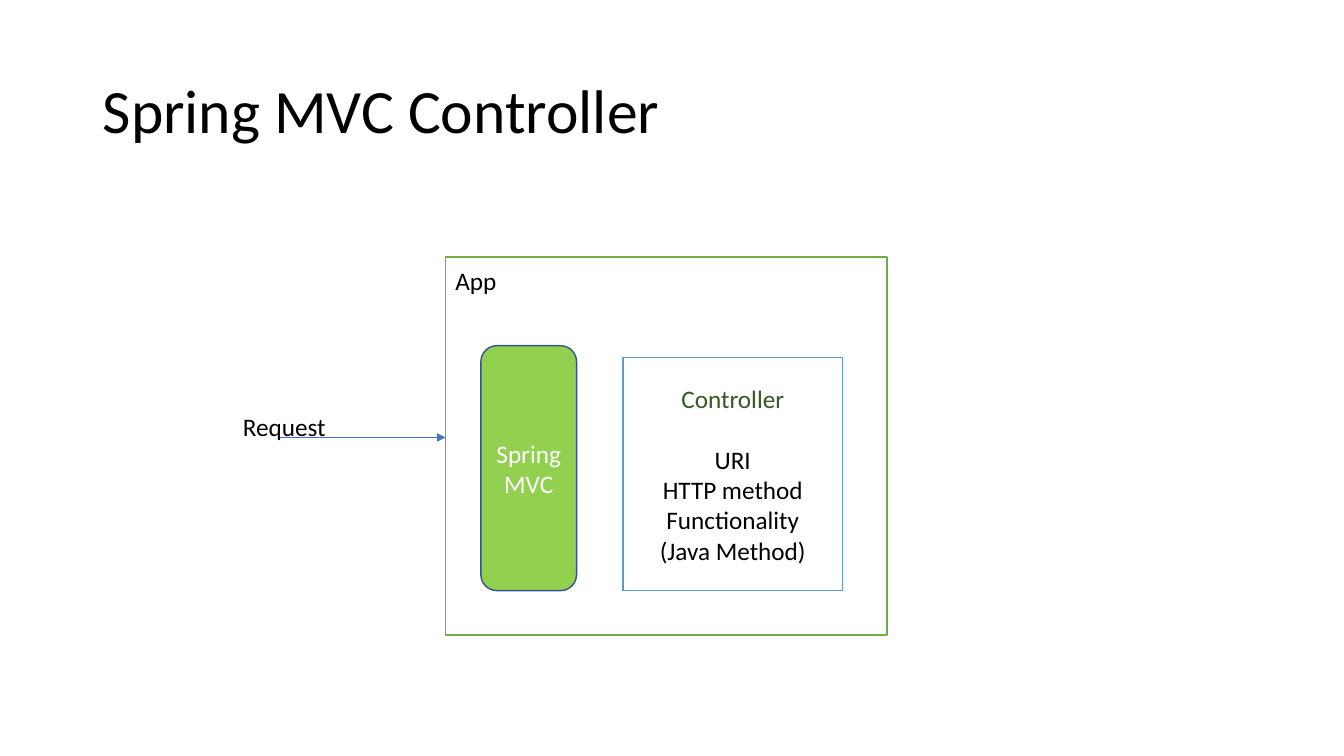
from pptx import Presentation
from pptx.dml.color import RGBColor
from pptx.enum.shapes import MSO_CONNECTOR as Connector, MSO_SHAPE as Shape
from pptx.enum.text import MSO_ANCHOR as Anchor, MSO_AUTO_SIZE as AutoSize, PP_ALIGN as Align
from pptx.oxml.ns import qn
from pptx.util import Inches, Pt
from lxml.etree import SubElement

BLACK = RGBColor(0x00, 0x00, 0x00)
WHITE = RGBColor(0xFF, 0xFF, 0xFF)
APP_GREEN = RGBColor(0x70, 0xAD, 0x47)
MVC_GREEN = RGBColor(0x92, 0xD0, 0x50)
MVC_EDGE = RGBColor(0x32, 0x54, 0x91)
CONTROLLER_BLUE = RGBColor(0x5B, 0x9B, 0xD5)
CONTROLLER_GREEN = RGBColor(0x38, 0x57, 0x23)
ARROW_BLUE = RGBColor(0x44, 0x72, 0xC4)


class Diagram:
    font = "Calibri"
    title_size = Pt(44)
    text_size = Pt(18)

    def __init__(self, deck):
        self.column = deck.slide_width / 100
        self.row = deck.slide_height / 100
        self.page = deck.slides.add_slide(deck.slide_layouts[5])

    def place(self, left, top, width, height):
        return (round(left * self.column), round(top * self.row),
                round(width * self.column), round(height * self.row))

    def fill_text(self, frame, text, color, align=Align.LEFT, size=text_size):
        frame.text = text
        frame.word_wrap = True
        for para in frame.paragraphs:
            para.alignment = align
            for span in para.runs:
                span.font.name = self.font
                span.font.size = size
                span.font.color.rgb = color

    def title(self, text, *area):
        box = self.page.shapes.title
        box.left, box.top, box.width, box.height = self.place(*area)
        frame = box.text_frame
        self.fill_text(frame, text, BLACK, size=self.title_size)
        frame.auto_size = AutoSize.NONE
        frame.vertical_anchor = Anchor.MIDDLE
        frame.paragraphs[0].line_spacing = 0.9

    def block(self, kind, area, text, fill, edge, color, align=Align.CENTER, anchor=Anchor.MIDDLE):
        box = self.page.shapes.add_shape(kind, *self.place(*area))
        box.shadow.inherit = False
        box.fill.solid()
        box.fill.fore_color.rgb = fill
        box.line.color.rgb = edge
        box.line.width = Pt(1)
        self.fill_text(box.text_frame, text, color, align)
        box.text_frame.vertical_anchor = anchor
        return box.text_frame

    def arrow(self, start, end, level):
        x1, y, x2, _ = self.place(start, level, end, 0)
        line = self.page.shapes.add_connector(Connector.STRAIGHT, x1, y, x2, y)
        line.line.color.rgb = ARROW_BLUE
        line.line.width = Pt(0.5)
        properties = line._element.spPr
        SubElement(properties.find(qn("a:ln")), qn("a:tailEnd"), type="triangle")
        SubElement(properties, qn("a:effectLst"))

    def label(self, text, *area):
        box = self.page.shapes.add_textbox(*self.place(*area))
        self.fill_text(box.text_frame, text, BLACK)
        box.text_frame.auto_size = AutoSize.SHAPE_TO_FIT_TEXT


def main():
    deck = Presentation()
    deck.slide_width, deck.slide_height = Inches(13.33), Inches(7.5)
    diagram = Diagram(deck)
    diagram.title("Spring MVC Controller", 6.9, 5.33, 86.25, 19.33)

    app = diagram.block(Shape.RECTANGLE, (33.15, 34, 32.85, 50), "App",
                        WHITE, APP_GREEN, BLACK, Align.LEFT, Anchor.TOP)
    app.margin_top = Inches(0.08)
    diagram.block(Shape.ROUNDED_RECTANGLE, (35.78, 45.73, 7.12, 32.4), "Spring MVC",
                  MVC_GREEN, MVC_EDGE, WHITE)
    controller = diagram.block(
        Shape.RECTANGLE, (46.35, 47.33, 16.35, 30.8),
        "Controller\nURI\nHTTP method\nFunctionality\n(Java Method)",
        WHITE, CONTROLLER_BLUE, BLACK)
    heading = controller.paragraphs[0]
    heading.space_after = Pt(22)
    heading.runs[0].font.color.rgb = CONTROLLER_GREEN

    diagram.arrow(20.78, 33.15, 57.87)
    diagram.label("Request", 17.33, 53.73, 8.55, 5.33)
    deck.save("out.pptx")


if __name__ == "__main__":
    main()
